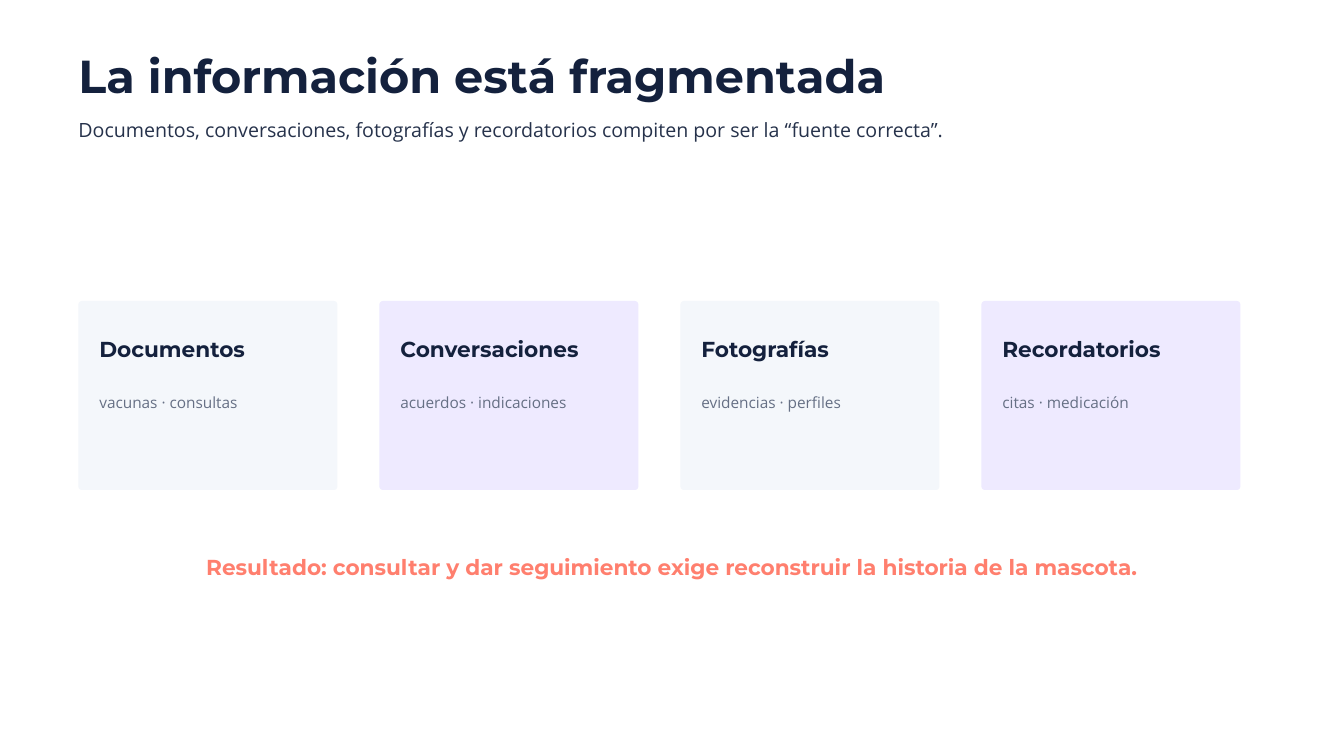
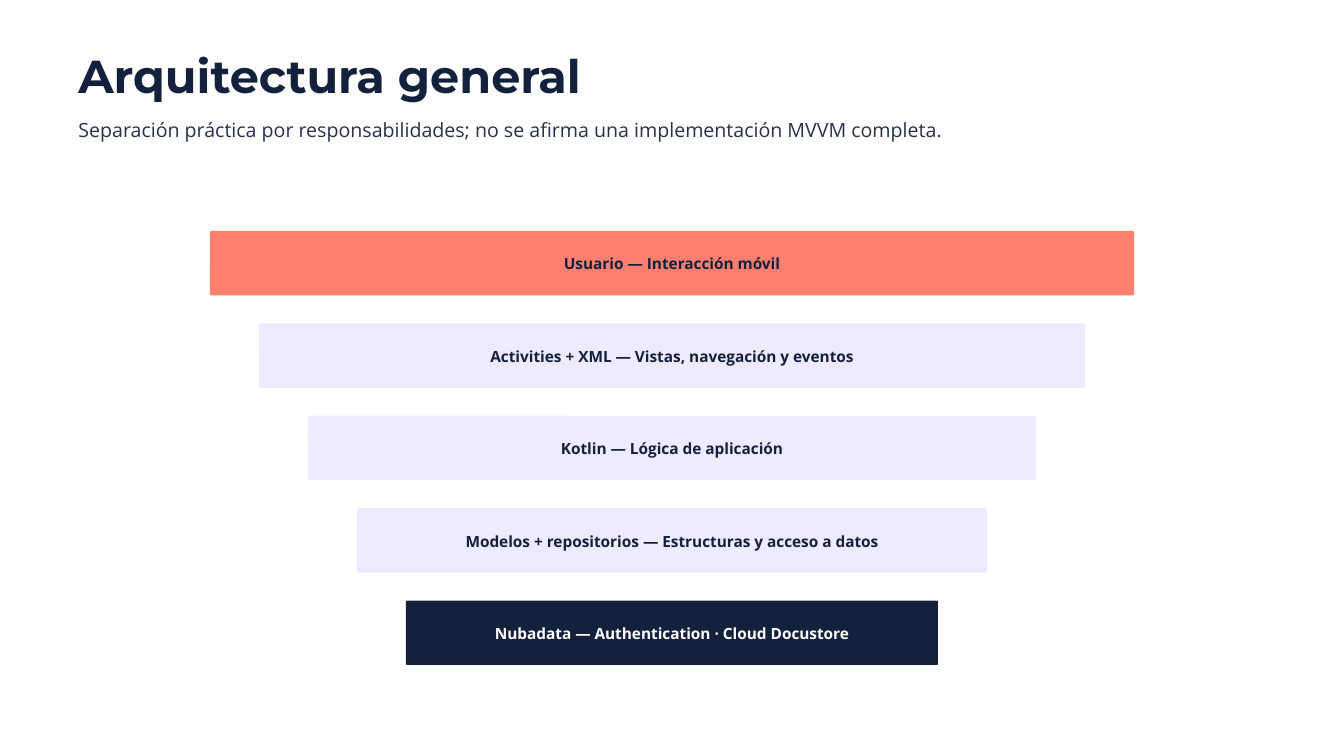
import pptx
import pptx.dml.color
import pptx.enum.shapes
import pptx.enum.text
import pptx.util

PX = 9525  # EMU per px, 96 px to the inch
WIDTH, HEIGHT = 1920, 1080
MARGIN = 112

COLORS = {
    "navy": "14213D",
    "slate": "26324B",
    "gray": "667085",
    "mist": "F4F7FB",
    "lilac": "EEEAFF",
    "coral": "FF7F6E",
    "white": "FFFFFF",
}

# Text styles: font, size, line spacing, bold, colour
STYLES = {
    "title": ("Montserrat", 49.5, 53.5, True, "navy"),
    "subtitle": ("Open Sans", 21, 29, False, "slate"),
    "heading": ("Montserrat", 23.2, 32.5, True, "navy"),
    "detail": ("Open Sans", 16.5, 21.4, False, "gray"),
    "layer": ("Open Sans", 16.5, 23.1, True, "navy"),
}


def rgb(name):
    return pptx.dml.color.RGBColor.from_string(COLORS[name])


class Deck:
    """Holds the presentation, its style and the current slide."""

    def __init__(self):
        self.presentation = pptx.Presentation()
        self.presentation.slide_width = WIDTH * PX
        self.presentation.slide_height = HEIGHT * PX
        self.slide = None

    def new_slide(self, title, subtitle):
        blank = self.presentation.slide_layouts[6]
        self.slide = self.presentation.slides.add_slide(blank)
        self.text(title, "title", MARGIN, 76, 1500, 73)
        self.text(subtitle, "subtitle", MARGIN, 164, 1450, 36)

    def fill_frame(self, frame, words, style, color=None, centered=False, insets=(0, 0, 0, 0)):
        font_name, size, spacing, bold, default_color = STYLES[style]
        frame.word_wrap = True
        frame.margin_left, frame.margin_top, frame.margin_right, frame.margin_bottom = (
            inset * PX for inset in insets
        )
        frame.text = words
        paragraph = frame.paragraphs[0]
        align = pptx.enum.text.PP_ALIGN
        paragraph.alignment = align.CENTER if centered else align.LEFT
        paragraph.line_spacing = pptx.util.Pt(spacing)
        font = paragraph.runs[0].font
        font.name = font_name
        font.size = pptx.util.Pt(size)
        font.bold = bold
        font.color.rgb = rgb(color or default_color)

    def text(self, words, style, left, top, width, height, **options):
        box = self.slide.shapes.add_textbox(left * PX, top * PX, width * PX, height * PX)
        self.fill_frame(box.text_frame, words, style, **options)

    def panel(self, fill, left, top, width, height, radius):
        panel = self.slide.shapes.add_shape(
            pptx.enum.shapes.MSO_SHAPE.ROUNDED_RECTANGLE,
            left * PX, top * PX, width * PX, height * PX,
        )
        panel.adjustments[0] = radius / min(width, height)
        panel.shadow.inherit = False
        panel.fill.solid()
        panel.fill.fore_color.rgb = rgb(fill)
        panel.line.fill.background()
        return panel

    def card(self, heading, detail, fill, left, top):
        self.panel(fill, left, top, 370, 270, radius=5)
        self.text(heading, "heading", left + 30, top + 44, 310, 40)
        self.text(detail, "detail", left + 30, top + 129, 310, 27)

    def layer(self, words, fill, color, left, top):
        band = self.panel(fill, left, top, WIDTH - 2 * left, 92, radius=2)
        band.text_frame.vertical_anchor = pptx.enum.text.MSO_ANCHOR.MIDDLE
        # The deeper bottom inset lifts the text slightly
        self.fill_frame(
            band.text_frame, words, "layer", color, centered=True, insets=(6, 6, 6, 9)
        )


def fragmentation_slide(deck):
    deck.new_slide(
        "La información está fragmentada",
        "Documentos, conversaciones, fotografías y recordatorios compiten por ser la “fuente correcta”.",
    )

    # Row of information sources
    sources = [
        ("Documentos", "vacunas · consultas"),
        ("Conversaciones", "acuerdos · indicaciones"),
        ("Fotografías", "evidencias · perfiles"),
        ("Recordatorios", "citas · medicación"),
    ]
    for index, (heading, detail) in enumerate(sources):
        fill = ("mist", "lilac")[index % 2]
        deck.card(heading, detail, fill, MARGIN + 430 * index, 430)

    # Conclusion
    deck.text(
        "Resultado: consultar y dar seguimiento exige reconstruir la historia de la mascota.",
        "heading", 290, 785, 1340, 42, color="coral", centered=True,
    )


def architecture_slide(deck):
    deck.new_slide(
        "Arquitectura general",
        "Separación práctica por responsabilidades; no se afirma una implementación MVVM completa.",
    )

    # Layers narrow evenly towards the data; en spaces set off the dash
    layers = [
        ("Usuario", "Interacción móvil", "coral", "navy"),
        ("Activities + XML", "Vistas, navegación y eventos", "lilac", "navy"),
        ("Kotlin", "Lógica de aplicación", "lilac", "navy"),
        ("Modelos + repositorios", "Estructuras y acceso a datos", "lilac", "navy"),
        ("Nubadata", "Authentication · Cloud Docustore", "navy", "white"),
    ]
    for index, (name, role, fill, color) in enumerate(layers):
        deck.layer(f"{name} — {role}", fill, color, 300 + 70 * index, 330 + 132 * index)


def main():
    deck = Deck()
    fragmentation_slide(deck)
    architecture_slide(deck)
    deck.presentation.save("out.pptx")


if __name__ == "__main__":
    main()
